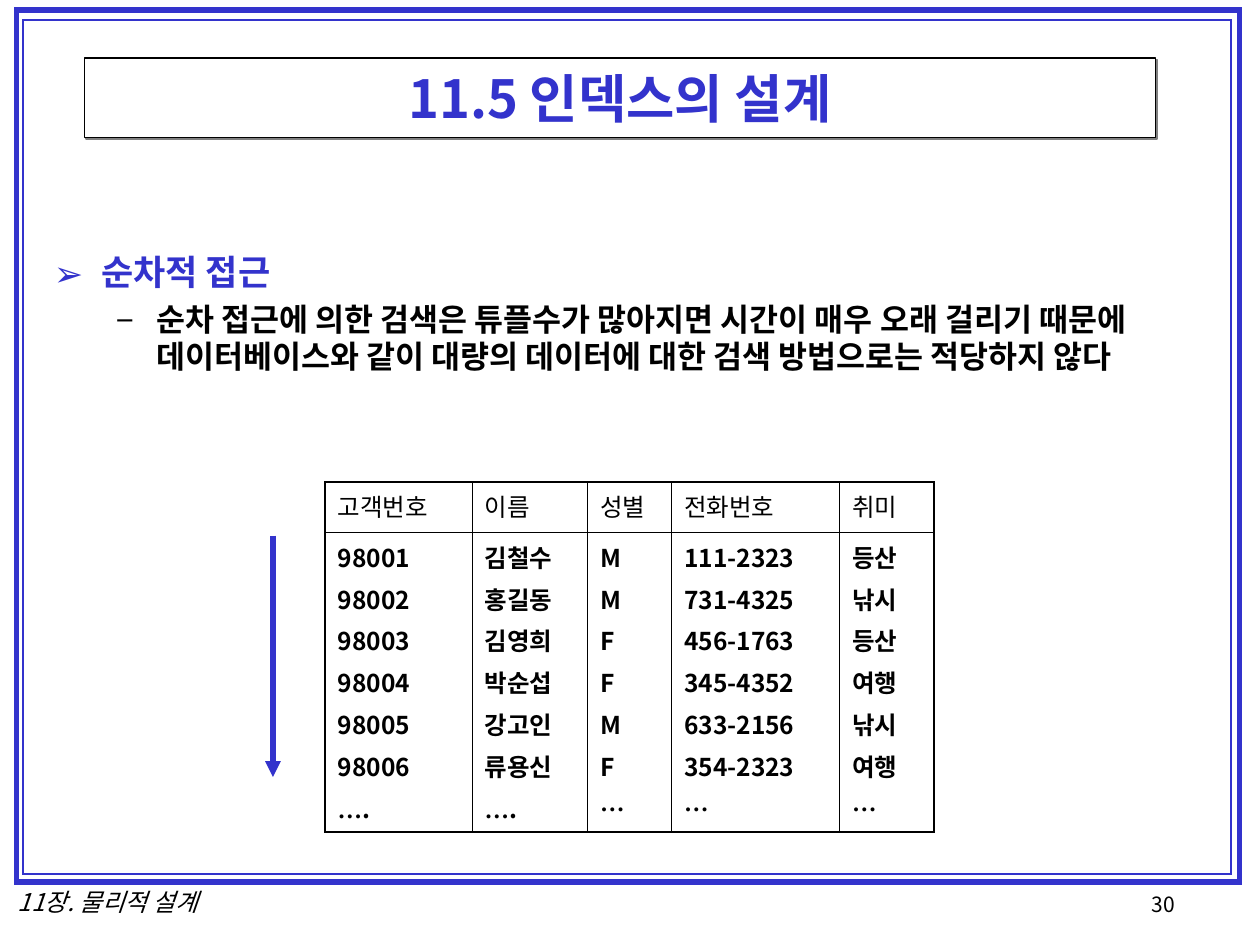
from lxml import etree
from pptx import Presentation
from pptx.dml.color import RGBColor
from pptx.enum.shapes import MSO_CONNECTOR as CONNECTOR, MSO_SHAPE as SHAPE
from pptx.enum.text import MSO_ANCHOR as ANCHOR, PP_ALIGN as ALIGN
from pptx.oxml.ns import qn
from pptx.util import Pt

BLUE = RGBColor(0x33, 0x33, 0xCC)
BLACK = RGBColor(0, 0, 0)
WHITE = RGBColor(0xFF, 0xFF, 0xFF)
GRAY = RGBColor(0x80, 0x80, 0x80)
SANS = "Noto Sans CJK KR"
SERIF = "Times New Roman"


def add_run(paragraph, text, size, color=BLACK, bold=False, name=SANS):
    """Add a run that uses one font for both Latin and Korean text."""
    run = paragraph.add_run()
    run.text = text
    font = run.font
    font.size, font.bold, font.name = Pt(size), bold, name
    font.color.rgb = color
    etree.SubElement(font._element, qn("a:ea"), typeface=name)
    return run


def add_solid_fill(parent, color):
    fill = etree.SubElement(parent, qn("a:solidFill"))
    etree.SubElement(fill, qn("a:srgbClr"), val=str(color))


presentation = Presentation()
presentation.slide_width, presentation.slide_height = Pt(720), Pt(540)
slide = presentation.slides.add_slide(presentation.slide_layouts[6])
shapes = slide.shapes

# Double frame around the slide
for left, top, width, height, weight in [
    (9.36, 5.76, 699.12, 498.24, 3),
    (12.96, 11.52, 690.48, 488.16, 1),
]:
    frame = shapes.add_shape(SHAPE.RECTANGLE, Pt(left), Pt(top), Pt(width), Pt(height))
    frame.shadow.inherit = False
    frame.fill.background()
    frame.line.color.rgb = BLUE
    frame.line.width = Pt(weight)
    etree.SubElement(frame.line._get_or_add_ln(), qn("a:miter"), lim="800000")

# Page number and footer
for left, top, width, height, text, size, italic in [
    (650.88, 506.16, 73.44, 23.76, "30", 12, False),
    (2.88, 503.28, 128.16, 24.48, "11장. 물리적 설계", 14, True),
]:
    footer = shapes.add_textbox(Pt(left), Pt(top), Pt(width), Pt(height))
    frame = footer.text_frame
    frame.word_wrap = True
    frame.margin_right = 0
    add_run(frame.paragraphs[0], text, size).font.italic = italic

# Title box with a hard shadow
title = shapes.add_shape(SHAPE.RECTANGLE, Pt(48.24), Pt(33.12), Pt(612), Pt(45.36))
title.shadow.inherit = False
title.fill.solid()
title.fill.fore_color.rgb = WHITE
title.line.color.rgb = BLACK
title.line.width = Pt(0.75)
effects = title._element.spPr.find(qn("a:effectLst"))
shadow = etree.SubElement(
    effects, qn("a:outerShdw"), dist=str(Pt(1.4)), dir="2700000", algn="ctr", rotWithShape="0"
)
etree.SubElement(shadow, qn("a:srgbClr"), val=str(GRAY))
title.text_frame.vertical_anchor = ANCHOR.MIDDLE
paragraph = title.text_frame.paragraphs[0]
paragraph.alignment = ALIGN.CENTER
add_run(paragraph, "11.5 인덱스의 설계", 30, BLUE, bold=True)

# Bulleted body
body = shapes.add_textbox(Pt(23.76), Pt(138.24), Pt(667.44), Pt(349.92))
frame = body.text_frame
frame.word_wrap = True
frame.margin_top = Pt(5)
bullets = [
    (0, 27, 27, 0, 24, "➢", "순차적 접근", 20, BLUE),
    (1, 58.5, 22.5, 5, 21, "−",
     "순차 접근에 의한 검색은 튜플수가 많아지면 시간이 매우 오래 걸리기 때문에 "
     "데이터베이스와 같이 대량의 데이터에 대한 검색 방법으로는 적당하지 않다", 18, BLACK),
]
for level, indent, hanging, before, line_height, bullet, text, size, color in bullets:
    paragraph = frame.add_paragraph() if level else frame.paragraphs[0]
    paragraph.level = level
    paragraph.line_spacing = Pt(line_height)
    paragraph.space_before = Pt(before)
    properties = paragraph._p.get_or_add_pPr()
    properties.set("marL", str(Pt(indent)))
    properties.set("indent", str(Pt(-hanging)))
    bullet_color = etree.SubElement(properties, qn("a:buClr"))
    etree.SubElement(bullet_color, qn("a:srgbClr"), val=str(color))
    etree.SubElement(properties, qn("a:buFont"), typeface=SANS)
    etree.SubElement(properties, qn("a:buChar"), char=bullet)
    add_run(paragraph, text, size, color, bold=True)

# Customer table: one header row and one tall row holding all records
columns = [
    (84, "고객번호", ["98001", "98002", "98003", "98004", "98005", "98006", "…."]),
    (66, "이름", ["김철수", "홍길동", "김영희", "박순섭", "강고인", "류용신", "…."]),
    (48, "성별", ["M", "M", "F", "F", "M", "F", "…"]),
    (96, "전화번호", ["111-2323", "731-4325", "456-1763", "345-4352", "633-2156", "354-2323", "…"]),
    (54, "취미", ["등산", "낚시", "등산", "여행", "낚시", "여행", "…"]),
]
THIN, THICK = 0.45, 1.08
HEADER_HEIGHT, RECORDS_HEIGHT = 28.8, 171.4
table = shapes.add_table(
    2, len(columns), Pt(185.76), Pt(275.4), Pt(348), Pt(HEADER_HEIGHT + RECORDS_HEIGHT)
).table
table.first_row = table.horz_banding = False
table.rows[0].height, table.rows[1].height = Pt(HEADER_HEIGHT), Pt(RECORDS_HEIGHT)
for column, (width, heading, values) in enumerate(columns):
    table.columns[column].width = Pt(width)
    for row, lines in enumerate([[heading], values]):
        cell = table.cell(row, column)
        properties = cell._tc.get_or_add_tcPr()
        for side, is_outer in [
            ("L", column == 0),
            ("R", column == len(columns) - 1),
            ("T", row == 0),
            ("B", row == 1),
        ]:
            weight = THICK if is_outer else THIN
            border = etree.SubElement(properties, qn(f"a:ln{side}"), w=str(Pt(weight)))
            add_solid_fill(border, BLACK)
        cell.fill.solid()
        cell.fill.fore_color.rgb = WHITE
        for index, line in enumerate(lines):
            paragraph = cell.text_frame.paragraphs[0]
            if index:
                paragraph = cell.text_frame.add_paragraph()
                paragraph.space_before = Pt(3.5)
            pieces = ["…", line[1:]] if line.startswith("…") else [line]
            for piece in filter(None, pieces):
                add_run(paragraph, piece, 14, bold=row == 1, name=SERIF if piece == "…" else SANS)

# Scan direction arrow
arrow = shapes.add_connector(CONNECTOR.STRAIGHT, Pt(156), Pt(306), Pt(156), Pt(444))
arrow.line.color.rgb = BLUE
arrow.line.width = Pt(3)
etree.SubElement(arrow.line._get_or_add_ln(), qn("a:tailEnd"), type="triangle")
etree.SubElement(arrow._element.spPr, qn("a:effectLst"))

presentation.save("out.pptx")
